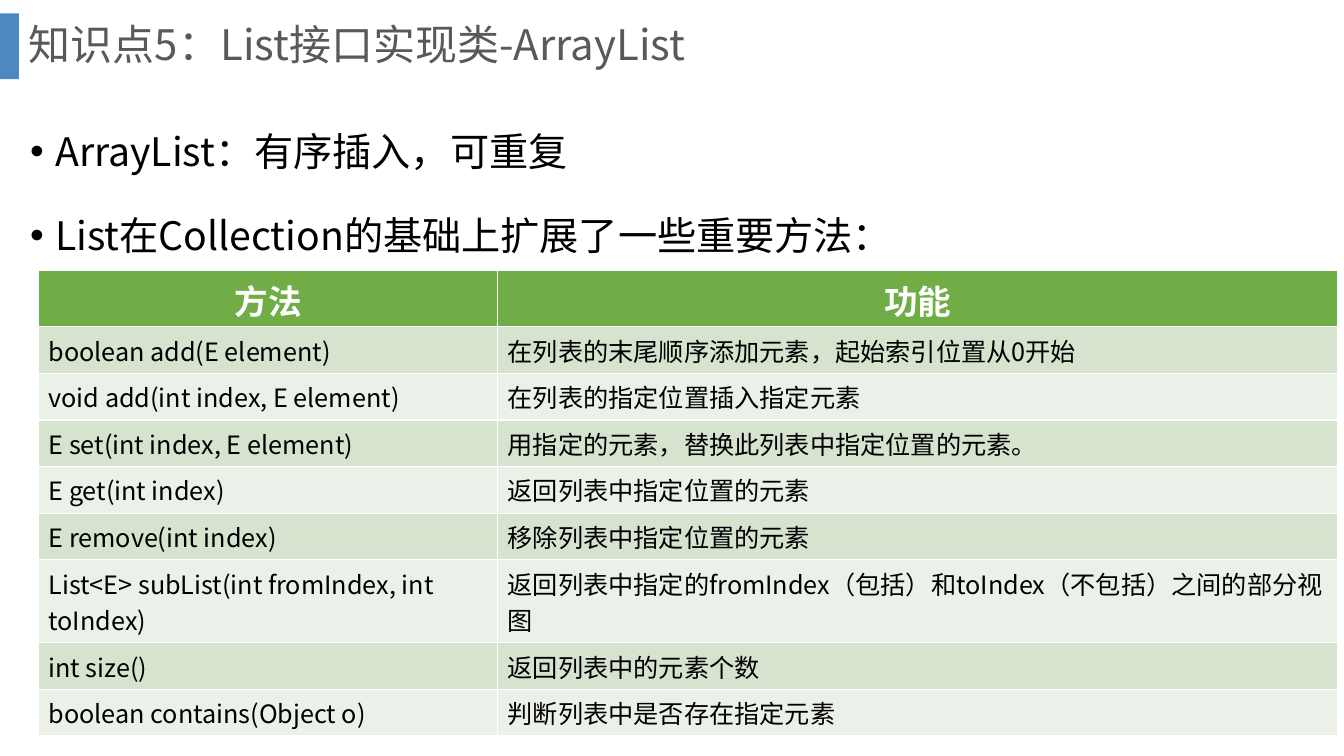
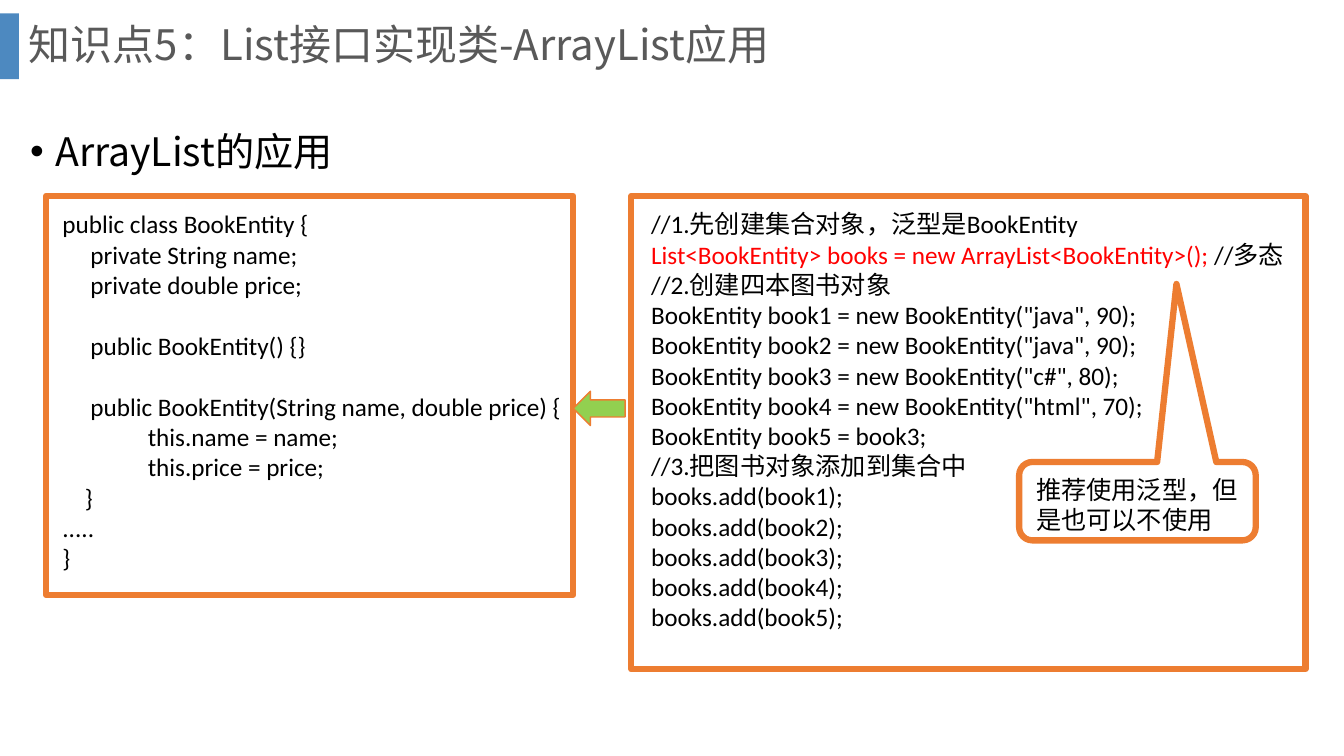
import pptx
import pptx.util
import pptx.dml.color
import pptx.enum.shapes
import pptx.enum.text
import pptx.oxml.ns
import lxml.etree

Pt = pptx.util.Pt
RGBColor = pptx.dml.color.RGBColor
MSO_SHAPE = pptx.enum.shapes.MSO_SHAPE
PP_ALIGN = pptx.enum.text.PP_ALIGN
MSO_ANCHOR = pptx.enum.text.MSO_ANCHOR
qn = pptx.oxml.ns.qn

COLORS = {
    "band": "2E75B6",
    "title": "595959",
    "text": "000000",
    "white": "FFFFFF",
    "header": "70AD47",
    "row_dark": "D5E3CF",
    "row_light": "EBF1E9",
    "frame": "ED7D31",
    "arrow": "92D050",
    "highlight": "FF0000",
}
COLORS = {name: RGBColor.from_string(value) for name, value in COLORS.items()}
HEADING_FONT = "Noto Sans CJK SC"
CODE_FONT = "Calibri"
CODE_LINE = 22


def format_paragraph(paragraph, font_name, size, color, bold=False):
    font = paragraph.font
    font.name = font_name
    font.size = Pt(size)
    font.bold = bold
    font.color.rgb = COLORS[color]
    east_asian = lxml.etree.SubElement(font._element, qn("a:ea"))
    east_asian.set("typeface", HEADING_FONT)


def add_text_lines(slide, box, lines):
    frame = slide.shapes.add_textbox(*map(Pt, box)).text_frame
    frame.word_wrap = True
    for number, (text, indent, blank_lines) in enumerate(lines):
        paragraph = frame.add_paragraph() if number else frame.paragraphs[0]
        paragraph.text = text
        paragraph.space_before = Pt(blank_lines * CODE_LINE)
        paragraph._p.get_or_add_pPr().set("marL", str(Pt(indent)))
        format_paragraph(paragraph, CODE_FONT, 18, "text")
    return frame


presentation = pptx.Presentation()
presentation.slide_width = Pt(960)
presentation.slide_height = Pt(540)

pages = [
    ("知识点5：List接口实现类-ArrayList",
     ["ArrayList：有序插入，可重复", "List在Collection的基础上扩展了一些重要方法："]),
    ("知识点5：List接口实现类-ArrayList应用", ["ArrayList的应用"]),
]
slides = []
for title_text, bullets in pages:
    slide = presentation.slides.add_slide(presentation.slide_layouts[5])
    slides.append(slide)

    band = slide.shapes.add_shape(MSO_SHAPE.RECTANGLE, 0, Pt(9.5), Pt(13.5), Pt(47))
    band.shadow.inherit = False
    band.fill.solid()
    band.fill.fore_color.rgb = COLORS["band"]
    band.line.fill.background()
    band_color = band._element.spPr.find(".//" + qn("a:srgbClr"))
    lxml.etree.SubElement(band_color, qn("a:alpha")).set("val", "85000")

    title = slide.shapes.title
    title.left, title.top, title.width, title.height = Pt(13.5), Pt(0), Pt(911.5), Pt(67)
    title.text_frame.text = title_text
    title.text_frame.vertical_anchor = MSO_ANCHOR.MIDDLE
    paragraph = title.text_frame.paragraphs[0]
    paragraph.alignment = PP_ALIGN.LEFT
    paragraph.line_spacing = 0.9
    format_paragraph(paragraph, HEADING_FONT, 30, "title")

    body = slide.shapes.add_textbox(Pt(14.5), Pt(70.5), Pt(929), Pt(429)).text_frame
    body.word_wrap = True
    for number, bullet in enumerate(bullets):
        paragraph = body.add_paragraph() if number else body.paragraphs[0]
        paragraph.text = bullet
        paragraph.line_spacing = 1.5
        paragraph.space_before = Pt(10)
        properties = paragraph._p.get_or_add_pPr()
        properties.set("marL", str(Pt(18)))
        properties.set("indent", str(-Pt(18)))
        lxml.etree.SubElement(properties, qn("a:buFont")).set("typeface", "Arial")
        lxml.etree.SubElement(properties, qn("a:buChar")).set("char", "•")
        format_paragraph(paragraph, HEADING_FONT, 28, "text")

method_slide, usage_slide = slides

methods = [
    ("方法", "功能"),
    ("boolean add(E element)", "在列表的末尾顺序添加元素，起始索引位置从0开始"),
    ("void add(int index, E element)", "在列表的指定位置插入指定元素"),
    ("E set(int index, E element)", "用指定的元素，替换此列表中指定位置的元素。"),
    ("E get(int index)", "返回列表中指定位置的元素"),
    ("E remove(int index)", "移除列表中指定位置的元素"),
    ("List<E> subList(int fromIndex, int toIndex)",
     "返回列表中指定的fromIndex（包括）和toIndex（不包括）之间的部分视图"),
    ("int size()", "返回列表中的元素个数"),
    ("boolean contains(Object o)", "判断列表中是否存在指定元素"),
]
row_heights = [40.5] + [33.3] * 5 + [59.3] + [33.3] * 2
table = method_slide.shapes.add_table(
    len(methods), 2, Pt(27.5), Pt(193), Pt(928), Pt(sum(row_heights))).table
table.horz_banding = False
table.columns[0].width = Pt(328)
table.columns[1].width = Pt(600)
for row_number, texts in enumerate(methods):
    table.rows[row_number].height = Pt(row_heights[row_number])
    is_header = row_number == 0
    row_fill = "header" if is_header else "row_dark" if row_number % 2 else "row_light"
    for column_number, text in enumerate(texts):
        cell = table.cell(row_number, column_number)
        cell.text = text
        cell.fill.solid()
        cell.fill.fore_color.rgb = COLORS[row_fill]
        paragraph = cell.text_frame.paragraphs[0]
        if is_header:
            cell.vertical_anchor = MSO_ANCHOR.MIDDLE
            paragraph.alignment = PP_ALIGN.CENTER
            format_paragraph(paragraph, HEADING_FONT, 24, "white", True)
        else:
            format_paragraph(paragraph, HEADING_FONT, 18, "text")

usage_lines = [
    "//1.先创建集合对象，泛型是BookEntity",
    "List<BookEntity> books = new ArrayList<BookEntity>(); ",
    "//2.创建四本图书对象",
    'BookEntity book1 = new BookEntity("java", 90);',
    'BookEntity book2 = new BookEntity("java", 90);',
    'BookEntity book3 = new BookEntity("c#", 80);',
    'BookEntity book4 = new BookEntity("html", 70);',
    "BookEntity book5 = book3;",
    "//3.把图书对象添加到集合中",
] + [f"books.add(book{number});" for number in range(1, 6)]
usage_frame = add_text_lines(
    usage_slide, (458, 145.5, 466.5, 312.5), [(line, 0, 0) for line in usage_lines])
list_line = usage_frame.paragraphs[1]
list_line.runs[0].font.color.rgb = COLORS["highlight"]
list_line.add_run().text = "//多态"

class_lines = [
    ("public class BookEntity {", 0, 0),
    ("private String name;", 20, 0),
    ("private double price;", 20, 0),
    ("public BookEntity() {}", 20, 1),
    ("public BookEntity(String name, double price) {", 20, 1),
    ("this.name = name;", 61, 0),
    ("this.price = price;", 61, 0),
    ("}", 16, 0),
    (".....", 0, 0),
    ("}", 0, 0),
]
add_text_lines(usage_slide, (37.5, 145.5, 374, 268.5), class_lines)

outlines = [
    (MSO_SHAPE.RECTANGLE, (451, 140, 481.5, 338), 4.5, None, []),
    (MSO_SHAPE.RECTANGLE, (33, 140, 376.5, 285), 4.5, None, []),
    (MSO_SHAPE.LEFT_ARROW, (409.5, 279.5, 37, 24.5), 1, "arrow", []),
    (MSO_SHAPE.ROUNDED_RECTANGULAR_CALLOUT, (728, 330, 169, 56), 4.5, None,
     [0.165, -2.77, 0.17]),
]
for preset, box, line_width, fill, adjustments in outlines:
    shape = usage_slide.shapes.add_shape(preset, *map(Pt, box))
    shape.shadow.inherit = False
    shape.line.color.rgb = COLORS["frame"]
    shape.line.width = Pt(line_width)
    if fill:
        shape.fill.solid()
        shape.fill.fore_color.rgb = COLORS[fill]
    else:
        shape.fill.background()
    for number, value in enumerate(adjustments):
        shape.adjustments[number] = value

add_text_lines(usage_slide, (733, 335, 159, 51), [("推荐使用泛型，但是也可以不使用", 0, 0)])

presentation.save("out.pptx")
